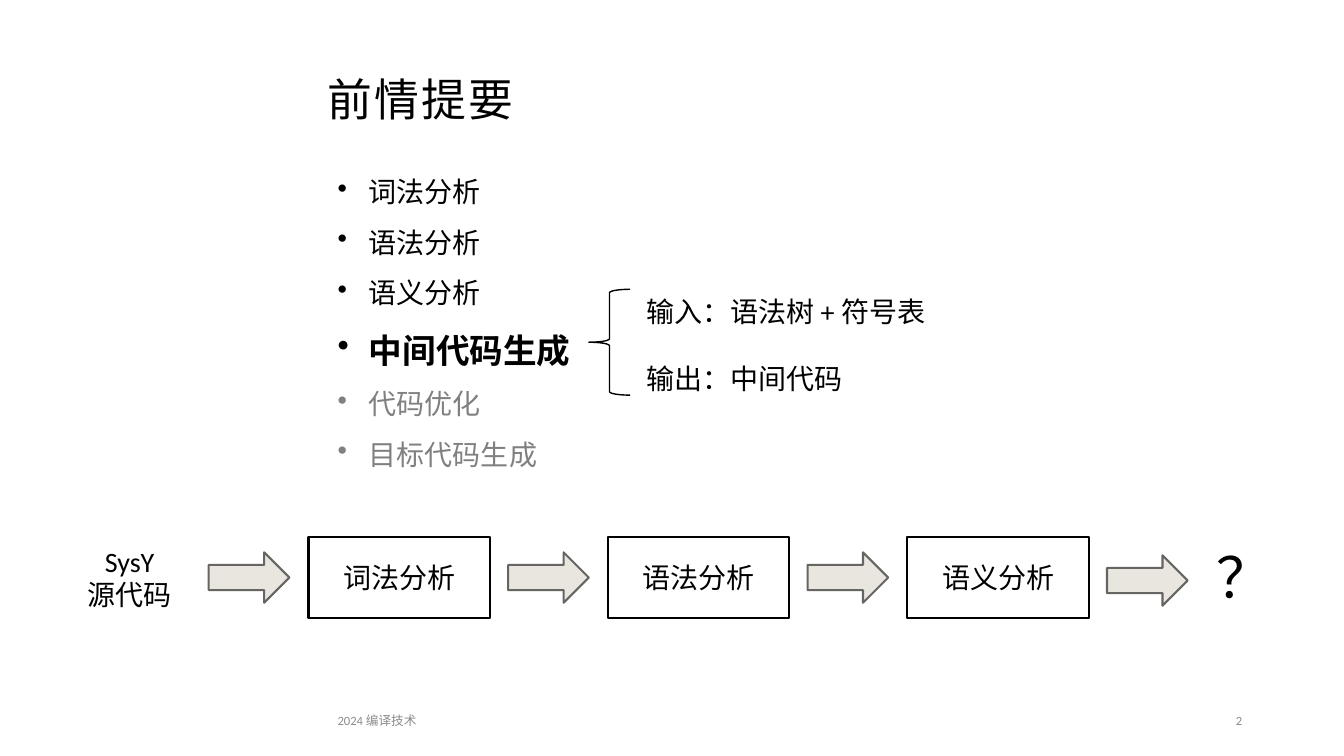
"""Build the recap slide of a compiler course."""
import pptx
import pptx.dml.color
import pptx.enum.shapes
import pptx.enum.text
import pptx.oxml.ns
import pptx.util
import lxml.etree

RGB = pptx.dml.color.RGBColor
BLACK = RGB(0, 0, 0)
GRAY = RGB(0x80, 0x80, 0x80)
PALE = RGB(0x8C, 0x8C, 0x8C)
SAND = RGB(0xE9, 0xE6, 0xDF)
STONE = RGB(0x66, 0x65, 0x62)
WIDE, HIGH = 13.33, 7.5
KIND = pptx.enum.shapes.MSO_SHAPE
ALIGN = pptx.enum.text.PP_ALIGN
ANCHOR = pptx.enum.text.MSO_ANCHOR
STEPS = ["词法分析", "语法分析", "语义分析"]


def inches(box):
    """Turn a box in inches into lengths."""
    return [pptx.util.Inches(n) for n in box]


def style(para, size, color=BLACK, bold=False, align=ALIGN.LEFT):
    """Set the font and alignment of a paragraph."""
    para.alignment = align
    font = para.font
    font.name, font.size, font.bold = "Calibri", pptx.util.Pt(size), bold
    font.color.rgb = color


def write(slide, box, lines, size, color=BLACK, align=ALIGN.LEFT, anchor=ANCHOR.TOP):
    """Add a text box with one paragraph per line."""
    frame = slide.shapes.add_textbox(*inches(box)).text_frame
    frame.word_wrap = True
    frame.vertical_anchor = anchor
    frame.text = "\n".join(lines)
    for para in frame.paragraphs:
        style(para, size, color, align=align)
    return frame


def draw(slide, kind, box, fill=None, line=BLACK, width=1.5):
    """Add a flat outlined shape."""
    shape = slide.shapes.add_shape(kind, *inches(box))
    shape.shadow.inherit = False
    if fill is None:
        shape.fill.background()
    else:
        shape.fill.solid()
        shape.fill.fore_color.rgb = fill
    shape.line.color.rgb = line
    shape.line.width = pptx.util.Pt(width)
    return shape


def title(slide, box):
    """Place the spaced heading."""
    frame = write(slide, box, ["前情提要"], 32, anchor=ANCHOR.BOTTOM)
    para = frame.paragraphs[0]
    para.line_spacing = 0.9
    para.runs[0]._r.get_or_add_rPr().set("spc", "150")


def topics(slide, box):
    """List the phases, with the current one bold and later ones gray."""
    frame = slide.shapes.add_textbox(*inches(box)).text_frame
    frame.word_wrap = False
    items = STEPS + ["中间代码生成", "代码优化", "目标代码生成"]
    frame.text = "\n".join(items)
    now = len(STEPS)
    indent = pptx.util.Inches(0.31)
    for i, para in enumerate(frame.paragraphs):
        para.line_spacing = 1.5
        props = para._p.get_or_add_pPr()
        props.set("marL", str(indent))
        props.set("indent", str(-indent))
        mark = lxml.etree.SubElement(props, pptx.oxml.ns.qn("a:buChar"))
        mark.set("char", "•")
        style(para, 24 if i == now else 20, GRAY if i > now else BLACK, i == now)


def detail(slide, box):
    """Brace the input and output of the current phase."""
    left, top, width, height = box
    brace = 0.41
    gap = 0.06
    draw(slide, KIND.LEFT_BRACE, (left, top, brace, height), width=1)
    text = left + brace + gap, top, width - brace - gap, height
    frame = write(slide, text, ["输入：语法树 + 符号表", "输出：中间代码"], 20)
    frame.paragraphs[1].space_before = pptx.util.Pt(24)


def flow(slide, box):
    """Run the source code through the finished phases."""
    left, top, width, height = box
    cell, arrow, gap = 1.8, 0.8, 0.18
    pitch = cell + arrow + 2 * gap + 0.01
    start = left + 1.38
    write(slide, (left, top + 0.02, 1.19, height), ["SysY", "源代码"], 20, align=ALIGN.CENTER)
    for i in range(len(STEPS) + 1):
        drop = 0.18 if i == len(STEPS) else 0.15
        place = start + i * pitch, top + drop, arrow, 0.5
        draw(slide, KIND.RIGHT_ARROW, place, SAND, STONE)
    for i, step in enumerate(STEPS):
        shape = draw(slide, KIND.RECTANGLE, (start + 0.99 + i * pitch, top, cell, height))
        shape.text_frame.text = step
        shape.text_frame.vertical_anchor = ANCHOR.MIDDLE
        style(shape.text_frame.paragraphs[0], 20, align=ALIGN.CENTER)
    goal = left + width - 0.67, top, 0.67, height
    write(slide, goal, ["？"], 40, align=ALIGN.CENTER)


def footer(slide, box):
    """Place the course name and the page number."""
    left, top, width, height = box
    write(slide, (left, top, 4.18, height), ["2024 编译技术"], 9, PALE, anchor=ANCHOR.MIDDLE)
    page = left + width - 1.08, top, 1.08, height
    write(slide, page, ["2"], 9, PALE, ALIGN.RIGHT, ANCHOR.MIDDLE)


def main():
    """Build and save the deck."""
    deck = pptx.Presentation()
    deck.slide_width, deck.slide_height = inches((WIDE, HIGH))
    slide = deck.slides.add_slide(deck.slide_layouts[6])
    title(slide, (3.15, 0.58, 9.21, 0.72))
    topics(slide, (3.25, 1.52, 2.54, 3.17))
    detail(slide, (5.84, 2.87, 3.5, 1.05))
    flow(slide, (0.69, 5.33, 11.95, 0.8))
    footer(slide, (3.25, 6.95, 9.17, 0.4))
    deck.save("out.pptx")


if __name__ == "__main__":
    main()
